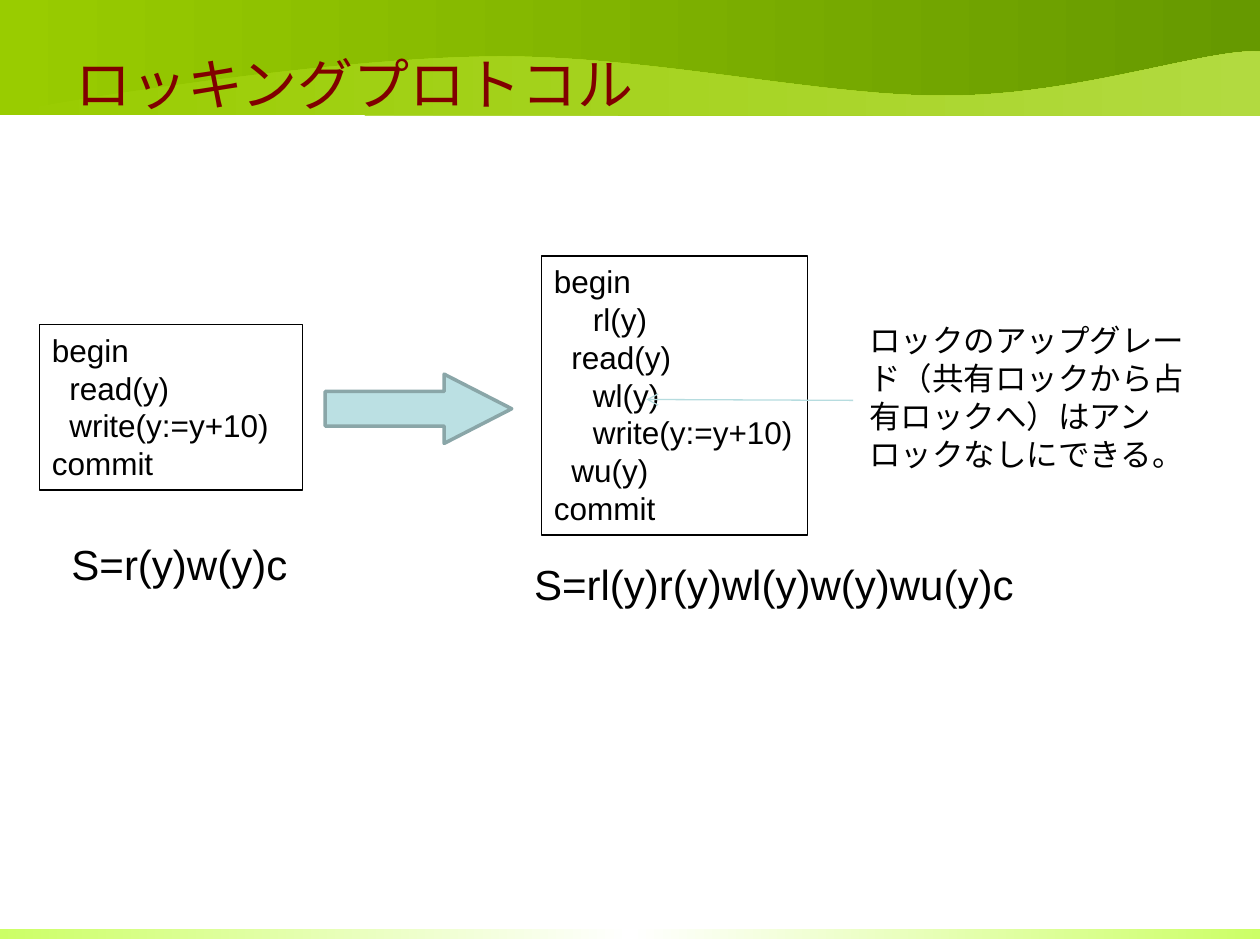
from pptx import Presentation
from pptx.dml.color import RGBColor as RGB
from pptx.enum.shapes import MSO_CONNECTOR as CONN, MSO_SHAPE as SHAPE
from pptx.enum.text import MSO_ANCHOR as ANCHOR
from pptx.oxml.ns import qn
from pptx.util import Pt
from lxml.etree import SubElement

THEME = dict(
    font="Arial", title=32, body=18, schedule=24,
    ink="000000", heading="800000", arrow="BBE0E3", arrow_line="8AA6A8", pointer="B6DCDF",
    footer=["CCFF66", "FFFFFF", "CCFF66"], header=["99CC00", "669900"], wave=["99CC00", "B2DA40"],
)
NEAR, FAR = 10, 22.3

TITLE = "ロッキングプロトコル"
NOTE = "ロックのアップグレード（共有ロックから占有ロックへ）はアンロックなしにできる。"
PROGRAMS = [
    ((22.5, 185.5, 150.5, 94.5),
     [("begin", 0), ("read(y)", NEAR), ("write(y:=y+10)", NEAR), ("commit", 0)]),
    ((309.5, 146.3, 152, 159.5),
     [("begin", 0), ("rl(y)", FAR), ("read(y)", NEAR), ("wl(y)", FAR),
      ("write(y:=y+10)", FAR), ("wu(y)", NEAR), ("commit", 0)]),
]
LABELS = [
    (TITLE, (36, 21.6, 588, 52), "title", "heading", ANCHOR.MIDDLE),
    (NOTE, (489.6, 180, 196, 94.5), "body", "ink", ANCHOR.TOP),
    ("S=r(y)w(y)c", (33.8, 304, 139, 36), "schedule", "ink", ANCHOR.TOP),
    ("S=rl(y)r(y)wl(y)w(y)wu(y)c", (298.1, 315.4, 291.6, 36), "schedule", "ink", ANCHOR.TOP),
]
WAVE_START = (0, 65.5)
WAVE_CURVES = [
    ((22.3, 59), (185, 33.8), (275, 32.4)),
    ((365.8, 30.2), (467.3, 55.4), (541.4, 54.7)),
    ((615.6, 54.7), (690.5, 27.4), (720, 29.5)),
]
WAVE_END = [(720, 66.2), (0, 65.5)]
STEPS = 24


def color(key):
    return RGB.from_string(THEME[key])


def box(at):
    return [Pt(v) for v in at]


def gradient(sp, key):
    sp.shadow.inherit = False
    sp.line.fill.background()
    sp.fill.gradient()
    sp.fill.gradient_angle = 0
    stops = sp._element.spPr.find(qn("a:gradFill")).find(qn("a:gsLst"))
    for gs in list(stops):
        stops.remove(gs)
    colors = THEME[key]
    for i, rgb in enumerate(colors):
        gs = SubElement(stops, qn("a:gs"), pos=str(100000 * i // (len(colors) - 1)))
        SubElement(gs, qn("a:srgbClr"), val=rgb)


def bezier(p0, p1, p2, p3):
    for i in range(1, STEPS + 1):
        t = i / STEPS
        u = 1 - t
        yield tuple(u**3 * a + 3 * u * u * t * b + 3 * u * t * t * c + t**3 * d
                    for a, b, c, d in zip(p0, p1, p2, p3))


def add_text(at, lines, size, ink, anchor=ANCHOR.TOP):
    sp = slide.shapes.add_textbox(*box(at))
    tf = sp.text_frame
    tf.word_wrap = True
    tf.vertical_anchor = anchor
    for i, (text, indent) in enumerate(lines):
        p = tf.add_paragraph() if i else tf.paragraphs[0]
        if indent:
            p._p.get_or_add_pPr().set("marL", str(Pt(indent)))
        r = p.add_run()
        r.text = text
        r.font.name = THEME["font"]
        r.font.size = Pt(THEME[size])
        r.font.color.rgb = color(ink)
    return sp


prs = Presentation()
prs.slide_width, prs.slide_height = Pt(720), Pt(540)
slide = prs.slides.add_slide(prs.slide_layouts[6])

for key, at in (("footer", (0, 530.8, 720, 5.8)), ("header", (0, 0, 720, 65.5))):
    gradient(slide.shapes.add_shape(SHAPE.RECTANGLE, *box(at)), key)

points, start = [], WAVE_START
for curve in WAVE_CURVES:
    points += bezier(start, *curve)
    start = curve[-1]
ff = slide.shapes.build_freeform(*box(WAVE_START))
ff.add_line_segments([box(pt) for pt in points + WAVE_END], close=True)
gradient(ff.convert_to_shape(), "wave")

for at, lines in PROGRAMS:
    sp = add_text(at, lines, "body", "ink")
    sp.line.color.rgb = color("ink")
    sp.line.width = Pt(0.75)

arrow = slide.shapes.add_shape(SHAPE.RIGHT_ARROW, *box((185.8, 213.8, 106.6, 39.6)))
arrow.adjustments[0], arrow.adjustments[1] = 0.5, 0.975
arrow.shadow.inherit = False
arrow.fill.solid()
arrow.fill.fore_color.rgb = color("arrow")
arrow.line.color.rgb = color("arrow_line")
arrow.line.width = Pt(2)

pointer = slide.shapes.add_connector(CONN.STRAIGHT, *box((487.5, 228.8, 369.4, 228.3)))
pointer.line.color.rgb = color("pointer")
pointer.line.width = Pt(0.75)
SubElement(pointer.line._get_or_add_ln(), qn("a:tailEnd"), type="arrow")
SubElement(pointer._element.spPr, qn("a:effectLst"))

for text, at, size, ink, anchor in LABELS:
    add_text(at, [(text, 0)], size, ink, anchor)

prs.save("out.pptx")
